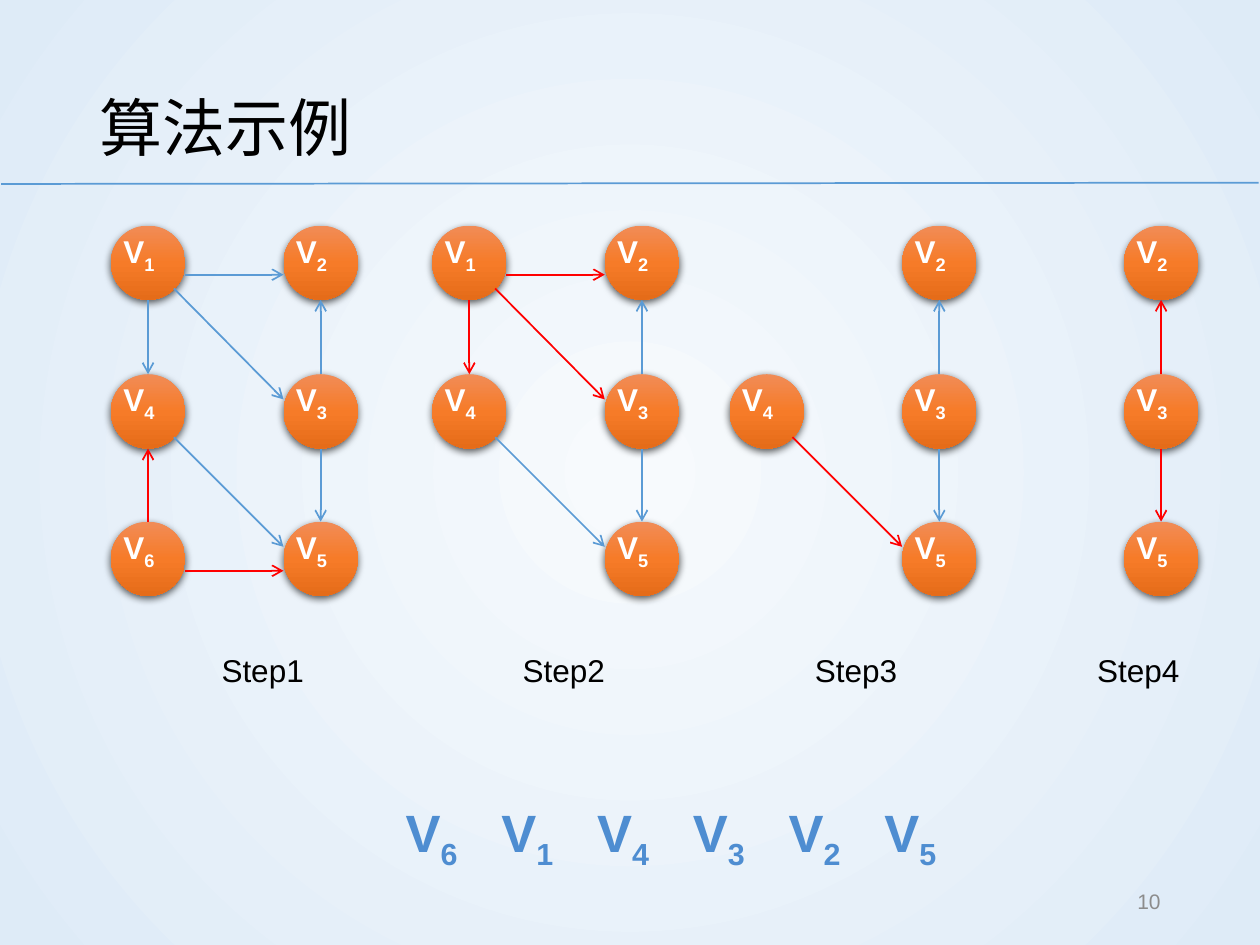
from dataclasses import dataclass

from lxml import etree
from pptx import Presentation
from pptx.dml.color import RGBColor
from pptx.enum.shapes import MSO_CONNECTOR, MSO_SHAPE
from pptx.enum.text import MSO_ANCHOR, PP_ALIGN
from pptx.oxml import parse_xml
from pptx.oxml.ns import nsdecls, qn
from pptx.util import Inches, Pt

STRAIGHT = MSO_CONNECTOR.STRAIGHT
CIRCLE = MSO_SHAPE.FLOWCHART_CONNECTOR
MIDDLE = MSO_ANCHOR.MIDDLE
LEFT, RIGHT = PP_ALIGN.LEFT, PP_ALIGN.RIGHT
TITLE_ONLY = 5


@dataclass(frozen=True)
class Theme:
    font: str = "Arial"
    text: str = "000000"
    node_text: str = "FFFFFF"
    result: str = "4E8DD1"
    page_number: str = "8C8C8C"
    edge: str = "5B9BD5"
    removed_edge: str = "FF0000"
    node_stops: tuple = ((0, "F18C57"), (50, "F67B28"), (100, "E56C19"))
    background_stops: tuple = ((0, "F7FAFD"), (100, "DEEBF7"))
    title_size: int = 36
    result_size: int = 30
    body_size: int = 18
    number_size: int = 12


NODE_SIZE = 0.59
LABEL_HEIGHT = 0.4
COLUMN_GAP = 1.37
ROW_TOPS = (1.79, 2.97, 4.14)
# Column and row of each vertex in a step's grid
GRID = {"1": (0, 0), "2": (1, 0), "4": (0, 1), "3": (1, 1), "6": (0, 2), "5": (1, 2)}

# Left edge, vertices, remaining edges, edges removed in this step
STEPS = (
    (0.88, "123465", ("12", "13", "32", "45", "35", "14"), ("64", "65")),
    (3.43, "12345", ("32", "45", "35"), ("12", "13", "14")),
    (5.79, "2345", ("32", "35"), ("45",)),
    (7.55, "235", (), ("32", "35")),
)
STEP_TABS = (2.39, 4.71, 6.95)
ORDER = "614325"
ORDER_PITCH = 0.76


def set_gradient(element, stops, direction):
    """Replace the content of a gradFill element; direction is its lin or path XML."""
    for child in list(element):
        element.remove(child)
    stops_xml = "".join(
        f'<a:gs pos="{position * 1000}"><a:srgbClr val="{color}"/></a:gs>'
        for position, color in stops
    )
    element.append(parse_xml(f'<a:gsLst {nsdecls("a")}>{stops_xml}</a:gsLst>'))
    element.append(parse_xml(direction))


def edge_ends(left, start, end):
    """Points where the arrow between two vertices leaves and arrives."""
    (column, row), (end_column, end_row) = GRID[start], GRID[end]
    x, y = left + column * COLUMN_GAP, ROW_TOPS[row]
    end_x, end_y = left + end_column * COLUMN_GAP, ROW_TOPS[end_row]
    if column == end_column:
        center = x + NODE_SIZE / 2
        if end_row > row:
            return (center, y + NODE_SIZE), (center, end_y)
        return (center, y), (center, end_y + NODE_SIZE)
    if row == end_row:
        return (x + NODE_SIZE, y + 0.39), (end_x, end_y + 0.39)
    return (x + 0.5, y + 0.5), (end_x, end_y + 0.2)


class SlideBuilder:
    def __init__(self, slide, theme):
        self.slide = slide
        self.theme = theme

    def background(self):
        self.slide.background.fill.gradient()
        gradient = self.slide.element.find(".//" + qn("a:gradFill"))
        set_gradient(gradient, self.theme.background_stops,
                     f'<a:path {nsdecls("a")} path="circle">'
                     '<a:fillToRect l="50000" t="50000" r="50000" b="50000"/></a:path>')

    def run(self, paragraph, text, size, color, bold=False, subscript=False):
        run = paragraph.add_run()
        run.text = text
        run.font.name = self.theme.font
        run.font.size = Pt(size)
        run.font.bold = bold
        run.font.color.rgb = RGBColor.from_string(color)
        if subscript:
            run.font._element.set("baseline", "-25000")

    def vertex_name(self, paragraph, number, size, color, prefix=""):
        self.run(paragraph, prefix + "V", size, color, bold=True)
        self.run(paragraph, number, size, color, bold=True, subscript=True)

    def title(self, text):
        title = self.slide.shapes.title
        title.left, title.top = Inches(0.69), Inches(0.4)
        title.width, title.height = Inches(8.62), Inches(1.08)
        title.text_frame.vertical_anchor = MIDDLE
        paragraph = title.text_frame.paragraphs[0]
        paragraph.alignment = LEFT
        paragraph.line_spacing = 1.2
        self.run(paragraph, text, self.theme.title_size, self.theme.text)

    def text_box(self, left, top, width, height, shapes=None, tabs=()):
        """Add an empty text box and return its first paragraph."""
        shapes = shapes or self.slide.shapes
        box = shapes.add_textbox(Inches(left), Inches(top), Inches(width), Inches(height))
        box.text_frame.word_wrap = True
        paragraph = box.text_frame.paragraphs[0]
        if tabs:
            properties = paragraph._p.get_or_add_pPr()
            tab_list = etree.SubElement(properties, qn("a:tabLst"))
            for position in tabs:
                etree.SubElement(tab_list, qn("a:tab"), pos=str(Inches(position)), algn="l")
        return paragraph

    def line(self, start, end, color, arrow=False):
        points = [Inches(value) for value in (*start, *end)]
        connector = self.slide.shapes.add_connector(STRAIGHT, *points)
        connector.line.color.rgb = RGBColor.from_string(color)
        connector.line.width = Pt(1)
        if arrow:
            etree.SubElement(connector.line._get_or_add_ln(), qn("a:tailEnd"), type="arrow")
        etree.SubElement(connector._element.spPr, qn("a:effectLst"))

    def node(self, left, top, number):
        group = self.slide.shapes.add_group_shape()
        circle = group.shapes.add_shape(
            CIRCLE, Inches(left), Inches(top), Inches(NODE_SIZE), Inches(NODE_SIZE))
        circle.line.fill.background()
        circle.fill.gradient()
        properties = circle._element.spPr
        set_gradient(properties.find(qn("a:gradFill")), self.theme.node_stops,
                     f'<a:lin {nsdecls("a")} ang="5400000" scaled="0"/>')
        circle.shadow.inherit = False
        properties.find(qn("a:effectLst")).append(parse_xml(
            f'<a:outerShdw {nsdecls("a")} blurRad="{Pt(4.5)}" dist="{Pt(1.5)}" dir="5400000" '
            'rotWithShape="0"><a:srgbClr val="000000"><a:alpha val="63000"/></a:srgbClr>'
            '</a:outerShdw>'))
        paragraph = self.text_box(left, top, NODE_SIZE, LABEL_HEIGHT, group.shapes)
        self.vertex_name(paragraph, number, self.theme.body_size, self.theme.node_text)

    def step(self, left, vertices, edges, removed_edges):
        for number in vertices:
            column, row = GRID[number]
            self.node(left + column * COLUMN_GAP, ROW_TOPS[row], number)
        for group, color in ((edges, self.theme.edge), (removed_edges, self.theme.removed_edge)):
            for start, end in group:
                self.line(*edge_ends(left, start, end), color, arrow=True)

    def step_labels(self):
        paragraph = self.text_box(1.66, 5.12, 7.85, 0.4, tabs=STEP_TABS)
        labels = "\t".join(f"Step{index}" for index in range(1, len(STEPS) + 1))
        self.run(paragraph, labels, self.theme.body_size, self.theme.text)

    def result(self):
        tabs = [ORDER_PITCH * index for index in range(1, len(ORDER))]
        paragraph = self.text_box(3.12, 6.3, 4.51, 0.6, tabs=tabs)
        for index, number in enumerate(ORDER):
            self.vertex_name(paragraph, number, self.theme.result_size, self.theme.result,
                             prefix="\t" if index else "")

    def page_number(self, number):
        paragraph = self.text_box(7.06, 6.95, 2.25, 0.4)
        paragraph.alignment = RIGHT
        self.run(paragraph, number, self.theme.number_size, self.theme.page_number)
        self.slide.shapes[-1].text_frame.vertical_anchor = MIDDLE


def main():
    presentation = Presentation()
    presentation.slide_width, presentation.slide_height = Inches(10), Inches(7.5)
    slide = presentation.slides.add_slide(presentation.slide_layouts[TITLE_ONLY])
    builder = SlideBuilder(slide, Theme())
    builder.background()
    builder.line((0.01, 1.46), (9.99, 1.45), builder.theme.edge)
    builder.title("算法示例")
    for step in STEPS:
        builder.step(*step)
    builder.step_labels()
    builder.result()
    builder.page_number("10")
    presentation.save("out.pptx")


if __name__ == "__main__":
    main()
